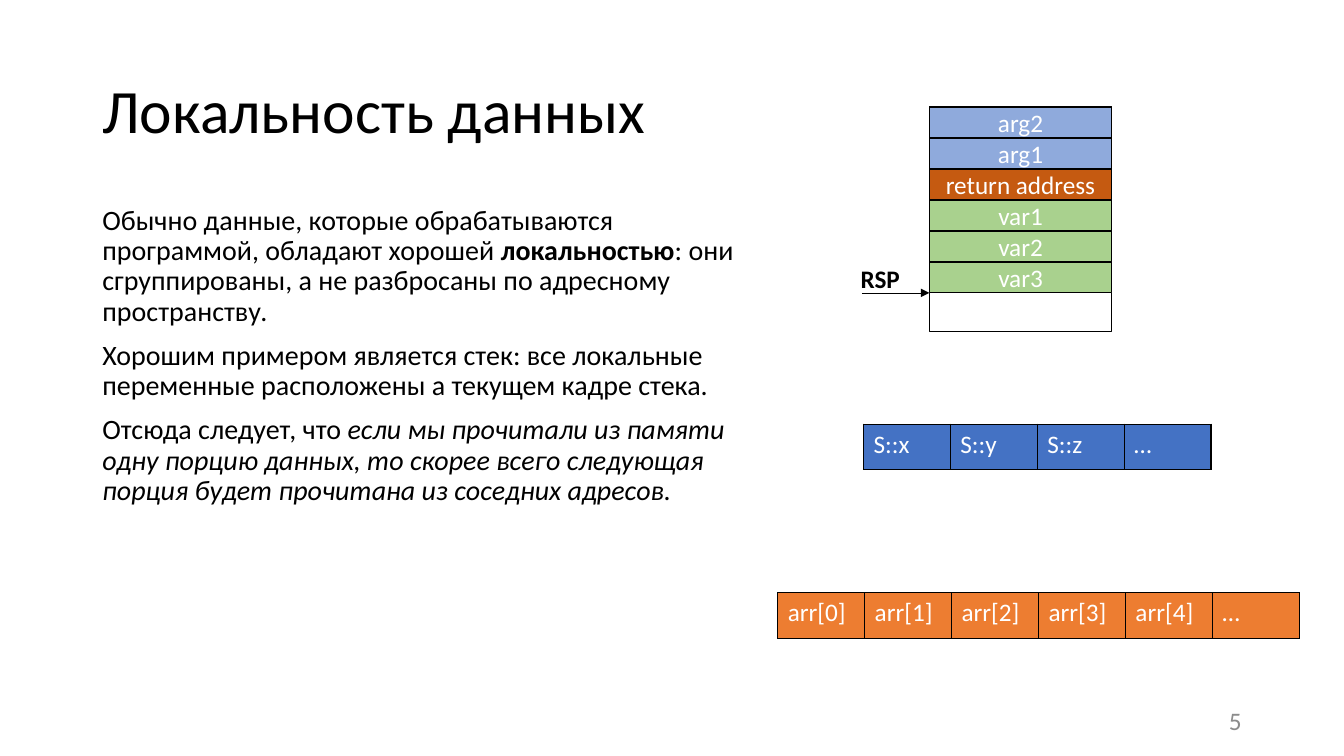
from dataclasses import dataclass

from lxml.etree import SubElement
from pptx import Presentation
from pptx.dml.color import RGBColor
from pptx.enum.shapes import MSO_CONNECTOR, MSO_SHAPE
from pptx.enum.text import MSO_ANCHOR, PP_ALIGN
from pptx.oxml import parse_xml
from pptx.oxml.ns import nsdecls, qn
from pptx.util import Cm, Pt


@dataclass(frozen=True)
class Theme:
    font: str = "Calibri"
    black: str = "000000"
    white: str = "FFFFFF"
    gray: str = "8C8C8C"
    argument: str = "8FAADC"
    address: str = "C55A11"
    variable: str = "A9D18E"
    struct: str = "4472C4"
    array: str = "ED7D31"
    title: int = 44
    body: int = 20
    label: int = 18
    outline: float = 1
    arrow: float = 0.5


def write(frame, paragraphs, *, font, size, color, bold=False,
          align=PP_ALIGN.LEFT, spacing=None, gap=0):
    for index, runs in enumerate(paragraphs):
        para = frame.add_paragraph() if index else frame.paragraphs[0]
        para.alignment = align
        if spacing:
            para.line_spacing = spacing
        if index and gap:
            para.space_before = Pt(gap)
        for text, style in runs:
            span = para.add_run()
            span.text = text
            span.font.name = font
            span.font.size = Pt(size)
            span.font.color.rgb = RGBColor.from_string(color)
            span.font.bold = bold or style == "bold"
            span.font.italic = style == "italic"


def plain(text):
    return [[(text, "")]]


class Sketch:
    def __init__(self, page, theme):
        self.page = page
        self.theme = theme

    def text(self, place, paragraphs, size, color=None,
             anchor=MSO_ANCHOR.TOP, **style):
        box = self.page.shapes.add_textbox(*map(Cm, place))
        frame = box.text_frame
        frame.word_wrap = True
        frame.vertical_anchor = anchor
        write(frame, paragraphs, font=self.theme.font, size=size,
              color=color or self.theme.black, **style)

    def rectangle(self, place, fill=None, label=""):
        box = self.page.shapes.add_shape(MSO_SHAPE.RECTANGLE, *map(Cm, place))
        box.shadow.inherit = False
        box.line.color.rgb = RGBColor.from_string(self.theme.black)
        box.line.width = Pt(self.theme.outline)
        if fill:
            box.fill.solid()
            box.fill.fore_color.rgb = RGBColor.from_string(fill)
        else:
            box.fill.background()
        if label:
            box.text_frame.vertical_anchor = MSO_ANCHOR.MIDDLE
            write(box.text_frame, plain(label), font=self.theme.font,
                  size=self.theme.label, color=self.theme.white,
                  align=PP_ALIGN.CENTER)

    def arrow(self, *ends):
        line = self.page.shapes.add_connector(
            MSO_CONNECTOR.STRAIGHT, *map(Cm, ends))
        line.line.color.rgb = RGBColor.from_string(self.theme.black)
        line.line.width = Pt(self.theme.arrow)
        SubElement(line.line._get_or_add_ln(), qn("a:tailEnd"), type="triangle")
        SubElement(line._element.spPr, qn("a:effectLst"))

    def row(self, left, top, labels, fill, column=2.19, height=1.14):
        table = self.page.shapes.add_table(
            1, len(labels), Cm(left), Cm(top),
            Cm(column * len(labels)), Cm(height)).table
        table.first_row = table.horz_banding = False
        for index, label in enumerate(labels):
            table.columns[index].width = Cm(column)
            cell = table.cell(0, index)
            self.border(cell)
            cell.fill.solid()
            cell.fill.fore_color.rgb = RGBColor.from_string(fill)
            write(cell.text_frame, plain(label), font=self.theme.font,
                  size=self.theme.label, color=self.theme.white)

    def border(self, cell):
        properties = cell._tc.get_or_add_tcPr()
        for side in ("lnL", "lnR", "lnT", "lnB"):
            properties.append(parse_xml(
                f'<a:{side} {nsdecls("a")} w="{Pt(self.theme.outline)}">'
                f'<a:solidFill><a:srgbClr val="{self.theme.black}"/>'
                f'</a:solidFill></a:{side}>'))


def main():
    deck = Presentation()
    deck.slide_width, deck.slide_height = Cm(33.87), Cm(19.05)
    page = deck.slides.add_slide(deck.slide_layouts[6])
    theme = Theme()
    sketch = Sketch(page, theme)

    sketch.text((2.33, 1.01, 29.21, 3.68), plain("Локальность данных"),
                theme.title, anchor=MSO_ANCHOR.MIDDLE, spacing=0.9)
    sketch.text((2.33, 5.07, 17.04, 12.09), [
        [("Обычно данные, которые обрабатываются программой, "
          "обладают хорошей ", ""),
         ("локальностью", "bold"),
         (": они сгруппированы, а не разбросаны по адресному "
          "пространству.", "")],
        [("Хорошим примером является стек: все локальные переменные "
          "расположены а текущем кадре стека.", "")],
        [("Отсюда следует, что ", ""),
         ("если мы прочитали из памяти одну порцию данных, то скорее всего "
          "следующая порция будет прочитана из соседних адресов.", "italic")],
    ], theme.body, spacing=0.9, gap=10)
    sketch.text((23.92, 17.66, 7.62, 1.01), plain("5"), theme.label,
                theme.gray, anchor=MSO_ANCHOR.MIDDLE, align=PP_ALIGN.RIGHT)

    left, top, width, slot = 23.42, 2.7, 4.6, 0.78
    sketch.rectangle((left, top, width, 5.65))
    stack = [("arg2", theme.argument), ("arg1", theme.argument),
             ("return address", theme.address), ("var1", theme.variable),
             ("var2", theme.variable), ("var3", theme.variable)]
    for index, (label, fill) in enumerate(stack):
        sketch.rectangle((left, top + index * slot, width, slot), fill, label)
    pointer = top + len(stack) * slot
    sketch.arrow(21.72, pointer, left, pointer)
    sketch.text((21.44, 6.5, 2.01, 1.02), plain("RSP"), theme.label, bold=True)

    sketch.row(21.76, 10.69, ["S::x", "S::y", "S::z", "…"], theme.struct)
    sketch.row(19.6, 14.94, [f"arr[{index}]" for index in range(5)] + ["…"],
               theme.array)
    deck.save("out.pptx")


if __name__ == "__main__":
    main()
